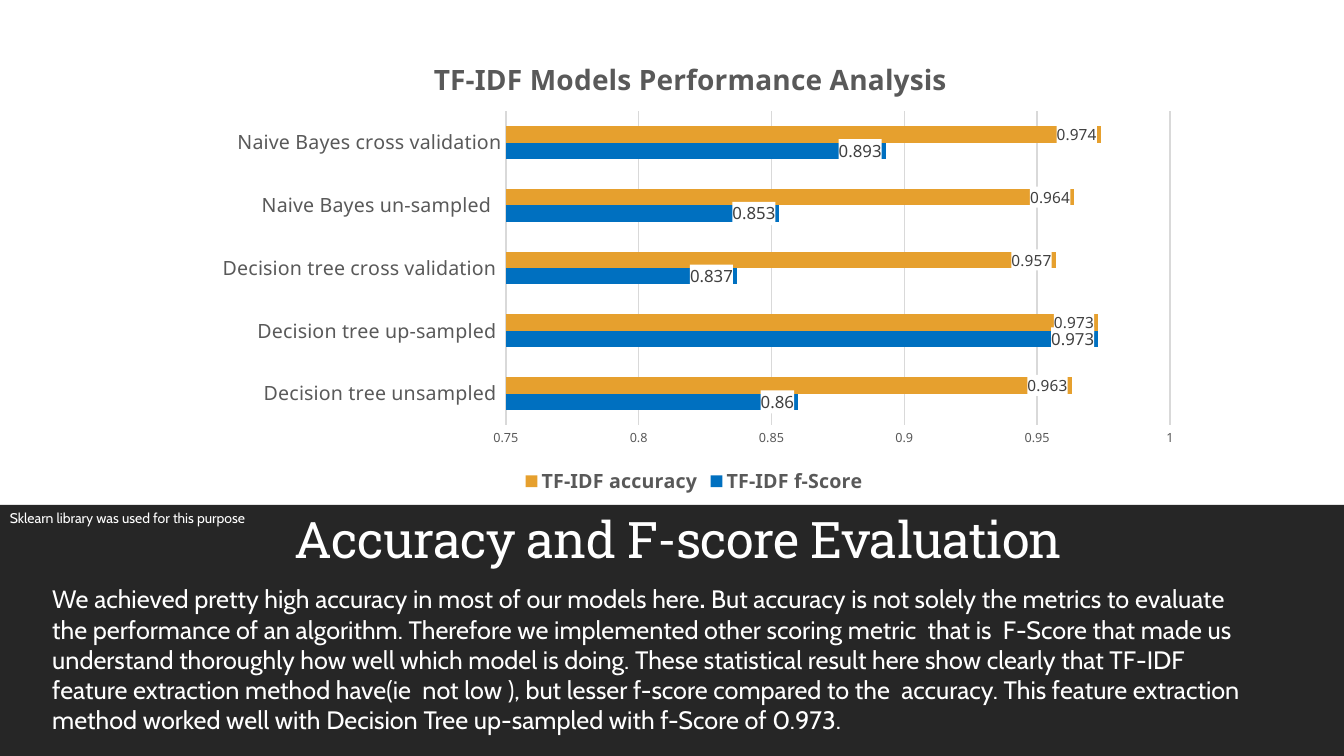
import pptx
import pptx.chart.data
import pptx.dml.color
import pptx.enum.chart
import pptx.enum.shapes
import pptx.enum.text
import pptx.oxml
import pptx.oxml.ns
import pptx.util
from dataclasses import dataclass

Inches, Pt = pptx.util.Inches, pptx.util.Pt
RGB = pptx.dml.color.RGBColor.from_string


@dataclass(frozen=True)
class Theme:
    white: str = "FFFFFF"
    panel: str = "262626"
    grey: str = "595959"
    label: str = "404040"
    grid: str = "D9D9D9"
    blue: str = "0070C0"
    orange: str = "E6A02E"
    heading_font: str = "Roboto Slab"
    body_font: str = "Cabin"
    chart_font: str = "Noto Sans"
    heading: int = 36
    body: int = 18
    note: int = 10
    chart_title: int = 20
    chart_text: int = 14
    ticks: int = 9


T = Theme()

CATEGORIES = ["Decision tree unsampled ", "Decision tree up-sampled ",
              "Decision tree cross validation ", "Naive Bayes un-sampled  ",
              "Naive Bayes cross validation"]
# name, values, bar colour, label size
SERIES = [("TF-IDF f-Score", (0.86, 0.973, 0.837, 0.853, 0.893), T.blue, 12),
          ("TF-IDF accuracy", (0.963, 0.973, 0.957, 0.964, 0.974), T.orange, 11)]
BODY = [("We achieved pretty high accuracy in most of our models here", False),
        (". ", True),
        ("But accuracy is not solely the metrics to evaluate the performance of an "
         "algorithm. Therefore we implemented other scoring metric  that is  F-Score "
         "that made us understand thoroughly how well which model is doing. These "
         "statistical result here show clearly that TF-IDF feature extraction method "
         "have(ie  not low ), but lesser f-score compared to the  accuracy. This "
         "feature extraction method worked well with Decision Tree up-sampled with "
         "f-Score of 0.973.", False)]


def style(font, size, color, name, bold=False):
    font.size, font.name, font.bold = Pt(size), name, bold
    font.color.rgb = RGB(color)


def chart_xml(body):
    return pptx.oxml.parse_xml(f"<c:{body[0]} {pptx.oxml.ns.nsdecls('c', 'a')}>"
                               f"{body[1]}</c:{body[0]}>")


def set_plot_layout(chart, x, y, w, h):
    """Place the inner plot area, in fractions of the chart."""
    plot_area = chart.plots[0]._element.getparent()
    for old in plot_area.findall(pptx.oxml.ns.qn("c:layout")):
        plot_area.remove(old)
    parts = [("layoutTarget", "inner"), ("xMode", "edge"), ("yMode", "edge"),
             ("x", x), ("y", y), ("w", w), ("h", h)]
    inner = "".join(f'<c:{tag} val="{val}"/>' for tag, val in parts)
    plot_area.insert(0, chart_xml(("layout", f"<c:manualLayout>{inner}</c:manualLayout>")))


def style_series(series, color, size):
    series.format.fill.solid()
    series.format.fill.fore_color.rgb = RGB(color)
    labels = series.data_labels
    labels.show_value = True
    labels.number_format, labels.number_format_is_linked = "General", False
    labels.position = pptx.enum.chart.XL_LABEL_POSITION.INSIDE_END
    style(labels.font, size, T.label, T.chart_font)
    # White box behind each label
    box = chart_xml(("spPr", f'<a:solidFill><a:srgbClr val="{T.white}"/></a:solidFill>'))
    labels._element.find(pptx.oxml.ns.qn("c:txPr")).addprevious(box)


def add_score_chart(s, x, y, w, h):
    data = pptx.chart.data.CategoryChartData(number_format="General")
    data.categories = CATEGORIES
    for name, values, _, _ in SERIES:
        data.add_series(name, values)
    chart = s.shapes.add_chart(pptx.enum.chart.XL_CHART_TYPE.BAR_CLUSTERED,
                               Inches(x), Inches(y), Inches(w), Inches(h), data).chart
    chart.font.name, chart.font.size = T.chart_font, Pt(T.note)

    # Title and legend
    tf = chart.chart_title.text_frame
    tf.text = "TF-IDF Models Performance Analysis "
    style(tf.paragraphs[0].font, T.chart_title, T.grey, T.chart_font, True)
    chart.chart_title.include_in_layout = False
    chart.has_legend = True
    chart.legend.position = pptx.enum.chart.XL_LEGEND_POSITION.BOTTOM
    chart.legend.include_in_layout = False
    style(chart.legend.font, T.chart_text, T.grey, T.chart_font, True)

    # Bars
    plot = chart.plots[0]
    plot.gap_width, plot.overlap, plot.vary_by_categories = 182, 0, False
    for series, (_, _, color, size) in zip(plot.series, SERIES):
        style_series(series, color, size)

    # Axes
    cat, val = chart.category_axis, chart.value_axis
    for axis, size in ((cat, T.chart_text), (val, T.ticks)):
        axis.major_tick_mark = axis.minor_tick_mark = pptx.enum.chart.XL_TICK_MARK.NONE
        style(axis.tick_labels.font, size, T.grey, T.chart_font)
    val.minimum_scale, val.maximum_scale, val.major_unit = 0.75, 1, 0.05
    val.format.line.fill.background()
    val.has_major_gridlines = True
    for line in (cat.format.line, val.major_gridlines.format.line):
        line.color.rgb, line.width = RGB(T.grid), Pt(1)
    set_plot_layout(chart, 0.31, 0.16, 0.67, 0.68)


def add_text(s, x, y, w, h, runs, size):
    tf = s.shapes.add_textbox(Inches(x), Inches(y), Inches(w), Inches(h)).text_frame
    tf.word_wrap = True
    p = tf.paragraphs[0]
    style(p.font, size, T.white, T.body_font)
    for text, bold in runs:
        r = p.add_run()
        r.text = text
        if bold:
            r.font.bold = True
    return tf


def add_panel(s, x, y, w, h):
    panel = s.shapes.add_shape(pptx.enum.shapes.MSO_SHAPE.RECTANGLE,
                               Inches(x), Inches(y), Inches(w), Inches(h))
    panel.shadow.inherit = False
    panel.fill.solid()
    panel.fill.fore_color.rgb = RGB(T.panel)
    panel.line.fill.background()
    s.shapes._spTree.insert(2, panel._element)  # behind the title

    # Heading
    title = s.shapes.title
    title.left, title.top = Inches(x + 2.82), Inches(y - 0.12)
    title.width, title.height = Inches(11.06), Inches(0.81)
    tf = title.text_frame
    tf.text = "Accuracy and F-score Evaluation"
    tf.vertical_anchor = pptx.enum.text.MSO_ANCHOR.BOTTOM
    p = tf.paragraphs[0]
    p.alignment, p.line_spacing = pptx.enum.text.PP_ALIGN.LEFT, 0.9
    style(p.font, T.heading, T.white, T.heading_font)
    p.runs[0].font._element.set("spc", "-50")

    # Library note
    tf = add_text(s, x, y + 0.03, 11.06, 0.67,
                  [("Sklearn library was used for this purpose", False)], T.note)
    tf.margin_top = tf.margin_bottom = 0
    tf.paragraphs[0].line_spacing, tf.paragraphs[0].space_after = 1.1, Pt(6)

    # Findings
    add_text(s, x + 0.42, y + 0.73, 12.03, 1.62, BODY, T.body)


def main():
    prs = pptx.Presentation()
    prs.slide_width, prs.slide_height = Inches(13.33), Inches(7.5)
    s = prs.slides.add_slide(prs.slide_layouts[5])
    add_panel(s, 0, 5.01, 13.33, 2.49)
    add_score_chart(s, 1.97, 0.37, 9.83, 4.58)
    prs.save("out.pptx")


if __name__ == "__main__":
    main()
